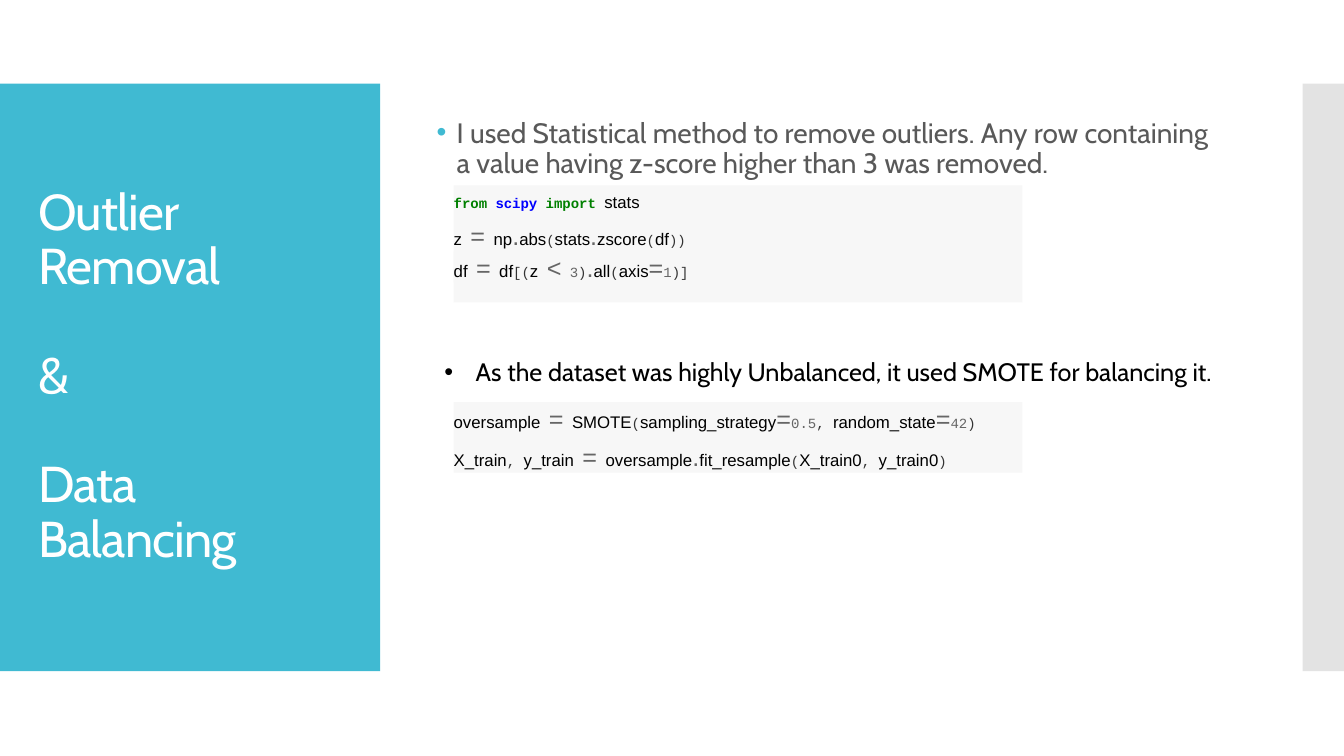
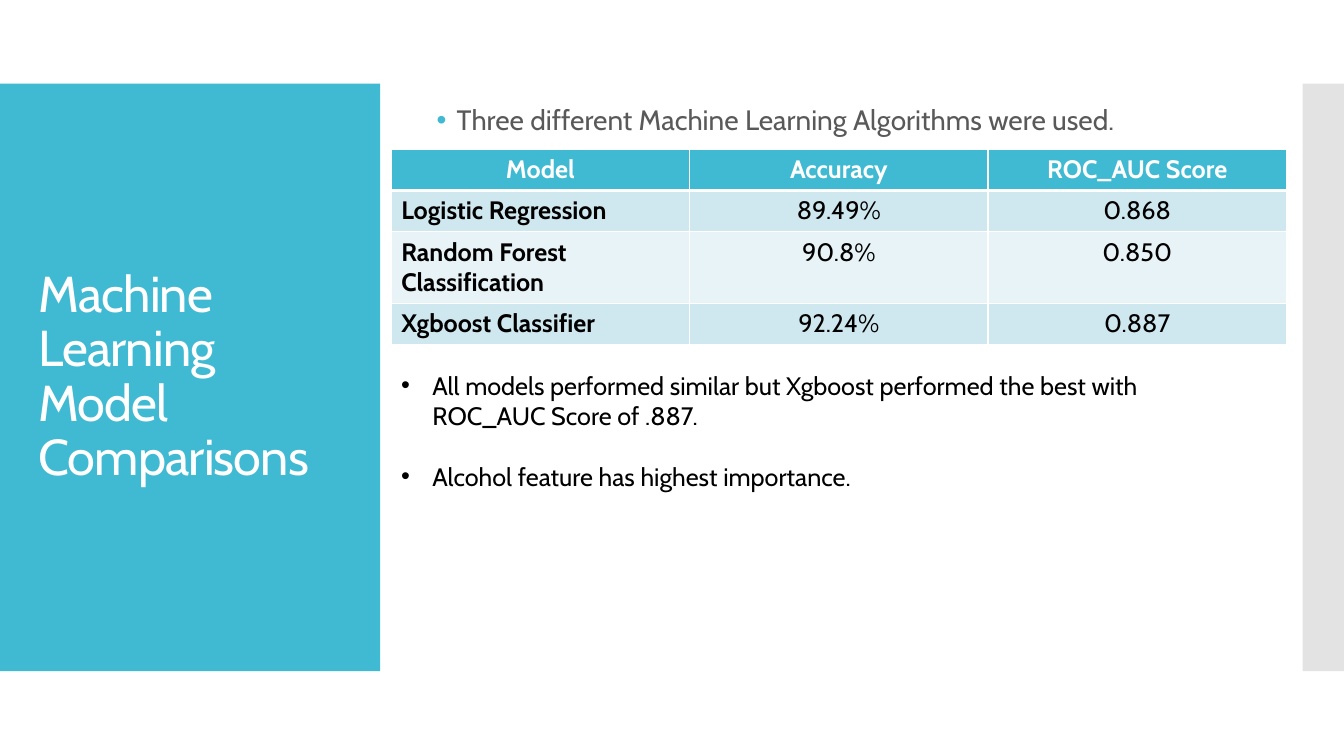
import pptx
import pptx.util
import pptx.dml.color
import pptx.enum.shapes
import pptx.enum.text
import pptx.oxml
import pptx.oxml.ns
from dataclasses import dataclass
from pptx.util import Inches, Pt


@dataclass(frozen=True)
class Theme:
    accent: str = "40BAD2"
    edge: str = "C8C8C8"
    white: str = "FFFFFF"
    black: str = "000000"
    body: str = "595959"
    code_fill: str = "F7F7F7"
    keyword: str = "008000"
    library: str = "0000FF"
    operator: str = "666666"
    punctuation: str = "333333"
    row_dark: str = "CFE7EE"
    row_light: str = "E8F3F7"
    font: str = "Cabin"
    name_font: str = "Arial"
    code_font: str = "Courier New"
    title_size: int = 36
    lead_size: int = 20
    text_size: int = 18
    name_size: int = 12
    code_size: int = 10


theme = Theme()
rgb = pptx.dml.color.RGBColor.from_string
middle = pptx.enum.text.MSO_ANCHOR.MIDDLE
left = pptx.enum.text.PP_ALIGN.LEFT
center = pptx.enum.text.PP_ALIGN.CENTER
rectangle = pptx.enum.shapes.MSO_SHAPE.RECTANGLE
namespace = pptx.oxml.ns.nsdecls("a")


def write(paragraph, text, font=theme.font, size=theme.text_size, color=theme.black,
          bold=False, align=left, before=0, spacing=1.0, tracking=None):
    paragraph.alignment = align
    paragraph.space_before = Pt(before)
    paragraph.line_spacing = spacing
    run = paragraph.add_run()
    run.text = text
    run.font.name = font
    run.font.size = Pt(size)
    run.font.bold = bold
    run.font.color.rgb = rgb(color)
    if tracking is not None:
        run.font._element.set("spc", str(tracking))


def add_bullet(paragraph, indent, color):
    properties = paragraph._p.get_or_add_pPr()
    properties.set("marL", str(Inches(indent)))
    properties.set("indent", str(-Inches(indent)))
    for xml in (f'<a:buClr {namespace}><a:srgbClr val="{color}"/></a:buClr>',
                f'<a:buFont {namespace} typeface="Arial"/>',
                f'<a:buChar {namespace} char="\u2022"/>'):
        properties.append(pptx.oxml.parse_xml(xml))


presentation = pptx.Presentation()
presentation.slide_width = Inches(13.33)
presentation.slide_height = Inches(7.5)

# Layout: title and body places, without footers
layout = presentation.slide_layouts[1]
for placeholder in list(layout.placeholders):
    if placeholder.placeholder_format.idx > 1:
        layout.shapes.element.remove(placeholder.element)
for placeholder, (x, y, width, height) in zip(
        layout.placeholders, [(0.28, 1.23, 3.22, 5.03), (4.23, 0.94, 8, 1.08)]):
    placeholder.left, placeholder.top = Inches(x), Inches(y)
    placeholder.width, placeholder.height = Inches(width), Inches(height)

# Title and lead bullet of each slide
contents = [
    (["Outlier Removal", "&", "Data Balancing"], 1.08,
     "I used Statistical method to remove outliers. Any row containing "
     "a value having z-score higher than 3 was removed."),
    (["Machine Learning Model Comparisons"], 0.53,
     "Three different Machine Learning Algorithms were used."),
]
slides = []
for title_lines, lead_height, lead in contents:
    slide = presentation.slides.add_slide(layout)
    slides.append(slide)
    title, body = slide.placeholders
    body.left, body.top = Inches(4.23), Inches(0.94)
    body.width, body.height = Inches(8), Inches(lead_height)
    for placeholder in (title, body):
        placeholder.text_frame.vertical_anchor = middle
        placeholder.text_frame.auto_size = pptx.enum.text.MSO_AUTO_SIZE.NONE
    for index, line in enumerate(title_lines):
        frame = title.text_frame
        paragraph = frame.add_paragraph() if index else frame.paragraphs[0]
        write(paragraph, line, size=theme.title_size, color=theme.white,
              before=39 if index else 0, spacing=0.9, tracking=-60)
    paragraph = body.text_frame.paragraphs[0]
    write(paragraph, lead, size=theme.lead_size, color=theme.body, spacing=0.9)
    add_bullet(paragraph, 0.2, theme.accent)

# Bands, moved into the layout that both slides share
for x, width, color, alpha in [(0, 3.77, theme.accent, 100), (12.92, 0.41, theme.edge, 50)]:
    band = slides[0].shapes.add_shape(rectangle, Inches(x), Inches(0.83),
                                      Inches(width), Inches(5.83))
    band.shadow.inherit = False
    band.line.fill.background()
    band.fill.solid()
    band.fill.fore_color.rgb = rgb(color)
    if alpha < 100:
        for color_element in band.element.spPr.iter(pptx.oxml.ns.qn("a:srgbClr")):
            color_element.append(pptx.oxml.parse_xml(
                f'<a:alpha {namespace} val="{alpha * 1000}"/>'))
    layout.shapes.element.insert(2, band.element)

# Code boxes: top, width, height, room below the text, lines with tokens split by |
code_boxes = [
    (1.84, 5.64, 1.16, 0.46, ["from| |scipy| |import| |stats",
                              "z| |=| |np|.|abs|(|stats|.|zscore|(|df|))"]),
    (2.5, 2.88, 0.3, 0, ["df| |=| |df|[(|z| |<| |3|)|.|all|(|axis|=|1|)]"]),
    (3.99, 5.64, 0.7, 0, [
        "oversample| |=| |SMOTE|(|sampling_strategy|=|0.5|, |random_state|=|42|)",
        "X_train|, |y_train| |=| |oversample|.|fit_resample|(|X_train0|, |y_train0|)"]),
]
for top, width, height, room, lines in code_boxes:
    box = slides[0].shapes.add_shape(rectangle, Inches(4.5), Inches(top),
                                     Inches(width), Inches(height))
    box.shadow.inherit = False
    box.line.fill.background()
    box.fill.solid()
    box.fill.fore_color.rgb = rgb(theme.code_fill)
    frame = box.text_frame
    frame.margin_left = frame.margin_right = frame.margin_top = 0
    frame.margin_bottom = Inches(room)
    frame.vertical_anchor = middle
    frame.word_wrap = True
    for index, line in enumerate(lines):
        paragraph = frame.add_paragraph() if index else frame.paragraphs[0]
        for token in line.split("|"):
            style = dict(font=theme.code_font, size=theme.code_size, color=theme.punctuation)
            if token in ("from", "import"):
                style.update(color=theme.keyword, bold=True)
            elif token == "scipy":
                style.update(color=theme.library, bold=True)
            elif token.isidentifier():
                style.update(font=theme.name_font, size=theme.name_size, color=theme.black)
            elif token in ("=", "<", "."):
                style.update(font=theme.name_font, size=theme.text_size, color=theme.operator)
            elif token[0].isdigit():
                style.update(color=theme.operator)
            write(paragraph, token, before=6 if index else 0, **style)

# Model table
rows = [
    ("Model", "Accuracy", "ROC_AUC Score"),
    ("Logistic Regression", "89.49%", "0.868"),
    ("Random Forest Classification", "90.8%", "0.850"),
    ("Xgboost Classifier", "92.24%", "0.887"),
]
table = slides[1].shapes.add_table(len(rows), 3, Inches(3.88), Inches(1.48),
                                   Inches(8.88), Inches(0.41 * len(rows))).table
for row_index, row in enumerate(rows):
    for column_index, text in enumerate(row):
        cell = table.cell(row_index, column_index)
        header, label = row_index == 0, column_index == 0
        widths = {"L": 1, "R": 1, "T": 3 if row_index == 1 else 1, "B": 3 if header else 1}
        for side, points in widths.items():
            cell._tc.get_or_add_tcPr().append(pptx.oxml.parse_xml(
                f'<a:ln{side} {namespace} w="{Pt(points)}"><a:solidFill>'
                f'<a:srgbClr val="{theme.white}"/></a:solidFill></a:ln{side}>'))
        cell.fill.solid()
        cell.fill.fore_color.rgb = rgb(
            theme.accent if header else theme.row_dark if row_index % 2 else theme.row_light)
        write(cell.text_frame.paragraphs[0], text, bold=header or label,
              color=theme.white if header else theme.black,
              align=left if label and not header else center)

# Remarks: slide, place, bullets
remarks = [
    (slides[0], (4.31, 3.49, 7.92, 0.4),
     ["As the dataset was highly Unbalanced, it used SMOTE for balancing it."]),
    (slides[1], (3.88, 3.62, 8.18, 1.31),
     ["All models performed similar but Xgboost performed the best with "
      "ROC_AUC Score of .887.",
      "Alcohol feature has highest importance."]),
]
for slide, place, lines in remarks:
    frame = slide.shapes.add_textbox(*map(Inches, place)).text_frame
    frame.word_wrap = True
    for index, line in enumerate(lines):
        paragraph = frame.add_paragraph() if index else frame.paragraphs[0]
        write(paragraph, line, before=22 if index else 0)
        add_bullet(paragraph, 0.31, theme.black)

presentation.save("out.pptx")
